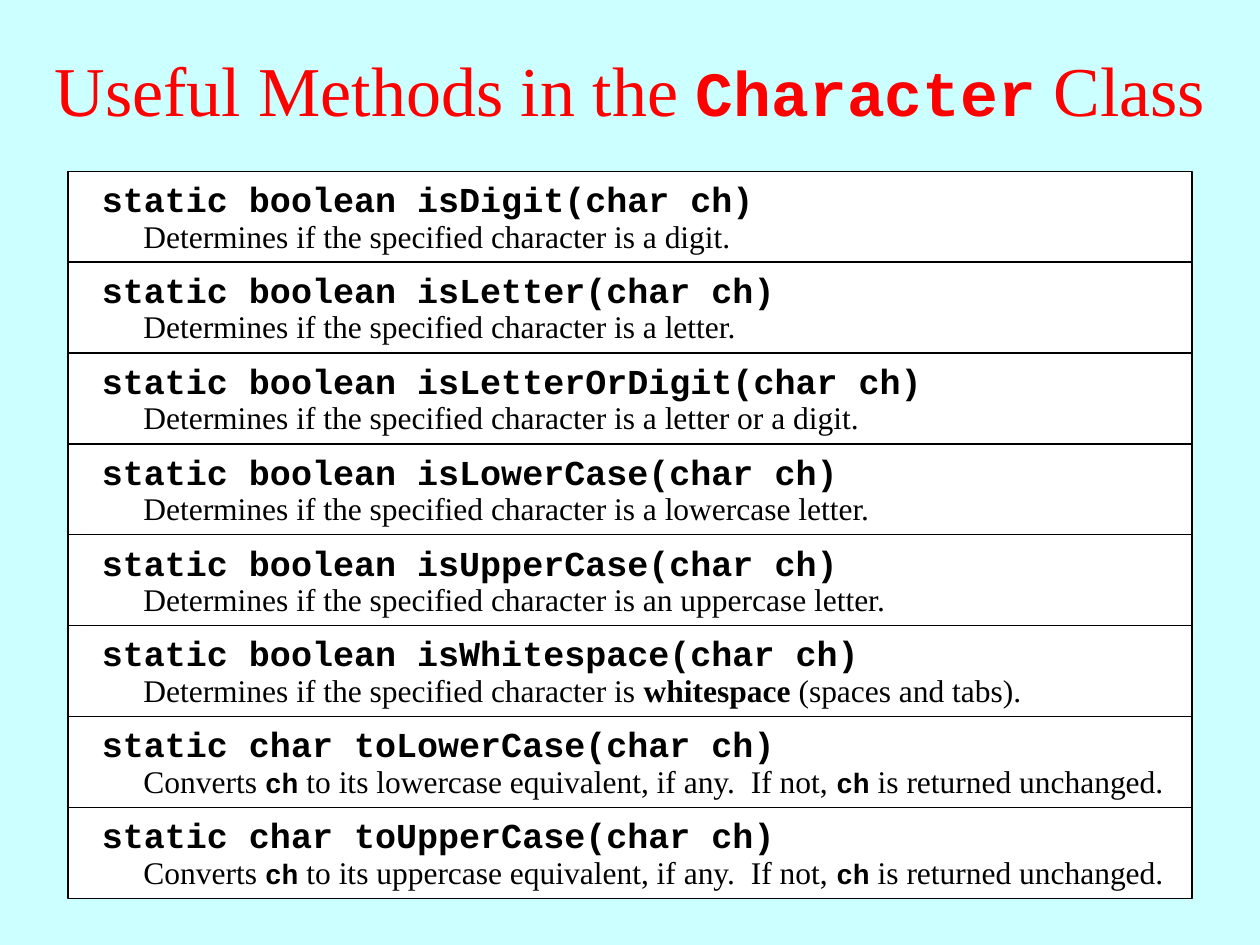
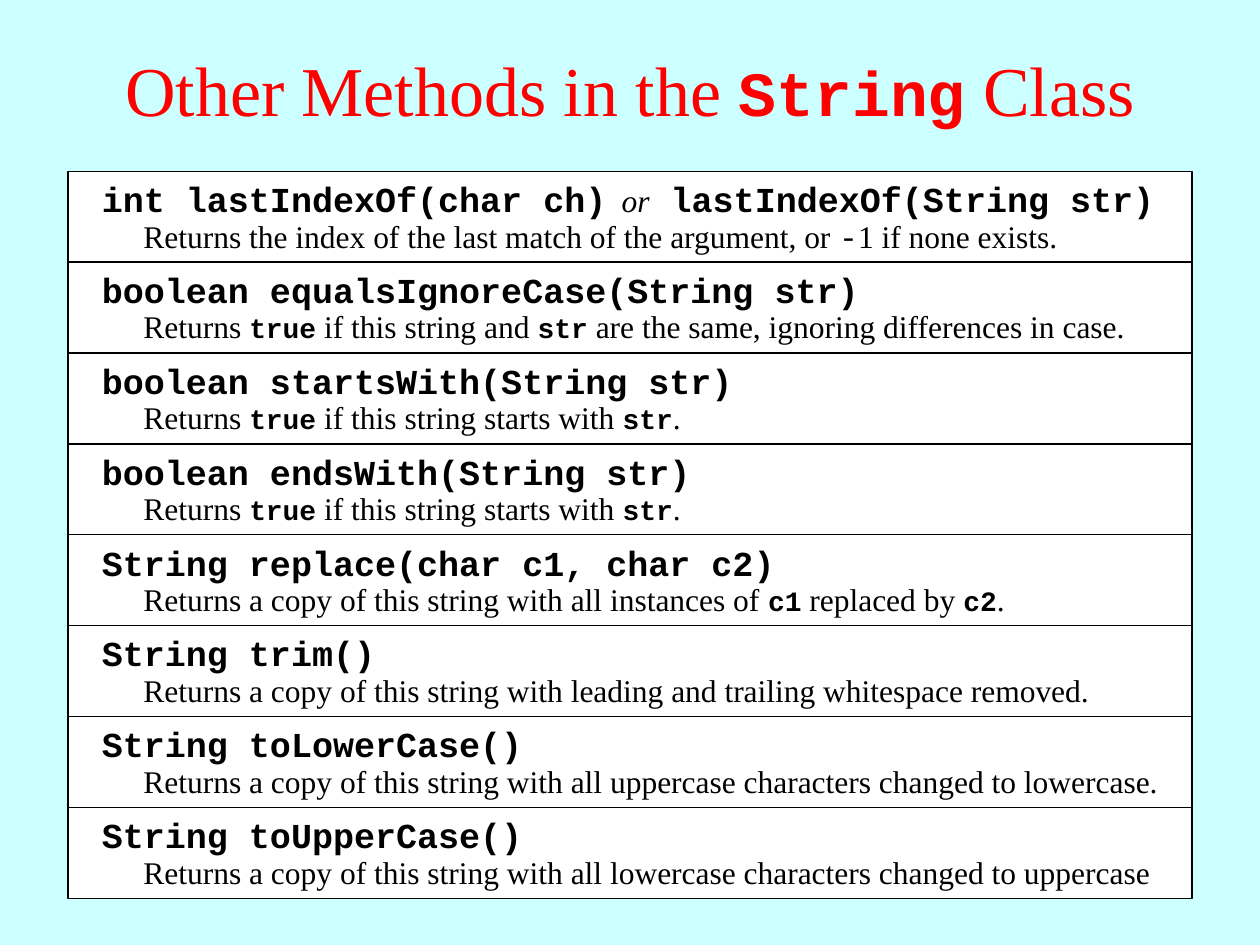
import pptx
import pptx.util
import pptx.dml.color
import pptx.enum.shapes
import pptx.enum.text

RGBColor = pptx.dml.color.RGBColor
Anchor = pptx.enum.text.MSO_ANCHOR
Align = pptx.enum.text.PP_ALIGN

SKY = RGBColor(0xCC, 0xFF, 0xFF)
RED = RGBColor(0xFF, 0x00, 0x00)
WHITE = RGBColor(0xFF, 0xFF, 0xFF)
BLACK = RGBColor(0x00, 0x00, 0x00)

SERIF = "Times New Roman"
MONO = "Courier New"
WIDTH, HEIGHT = 10, 7.5
PANEL_LEFT, PANEL_TOP, PANEL_BOTTOM = 0.54, 1.36, 7.13
PANEL_WIDTH = WIDTH - 2 * PANEL_LEFT

STYLES = {
    "title": {"name": SERIF, "size": 40},
    "title code": {"name": MONO, "size": 36, "bold": True},
    "signature": {"name": MONO, "size": 20, "bold": True},
    "thin gap": {"name": MONO, "size": 14, "bold": True},
    "italic": {"name": SERIF, "size": 18, "italic": True},
    "plain": {"name": SERIF, "size": 18},
    "bold": {"name": SERIF, "size": 18, "bold": True},
    "code": {"name": MONO, "size": 16, "bold": True},
    "minus": {"name": MONO, "size": 18},
}

CHARACTER_METHODS = [
    ("static boolean isDigit(char ch)", "Determines if the specified character is a digit."),
    ("static boolean isLetter(char ch)", "Determines if the specified character is a letter."),
    ("static boolean isLetterOrDigit(char ch)",
     "Determines if the specified character is a letter or a digit."),
    ("static boolean isLowerCase(char ch)",
     "Determines if the specified character is a lowercase letter."),
    ("static boolean isUpperCase(char ch)",
     "Determines if the specified character is an uppercase letter."),
    ("static boolean isWhitespace(char ch)",
     [("Determines if the specified character is ", "plain"), ("whitespace", "bold"),
      (" (spaces and tabs).", "plain")]),
    ("static char toLowerCase(char ch)",
     "Converts `ch` to its lowercase equivalent, if any.  If not, `ch` is returned unchanged."),
    ("static char toUpperCase(char ch)",
     "Converts `ch` to its uppercase equivalent, if any.  If not, `ch` is returned unchanged."),
]

STRING_METHODS = [
    ([("int lastIndexOf(char ch)", "signature"), (" ", "thin gap"), ("or", "italic"),
      (" lastIndexOf(String str)", "signature")],
     [("Returns the index of the last match of the argument, or ", "plain"),
      ("-", "minus"), ("1 if none exists.", "plain")]),
    ("boolean equalsIgnoreCase(String str)",
     "Returns `true` if this string and `str` are the same, ignoring differences in case."),
    ("boolean startsWith(String str)", "Returns `true` if this string starts with `str`."),
    ("boolean endsWith(String str)", "Returns `true` if this string starts with `str`."),
    ("String replace(char c1, char c2)",
     "Returns a copy of this string with all instances of `c1` replaced by `c2`."),
    ("String trim()",
     "Returns a copy of this string with leading and trailing whitespace removed."),
    ("String toLowerCase()",
     "Returns a copy of this string with all uppercase characters changed to lowercase."),
    ("String toUpperCase()",
     "Returns a copy of this string with all lowercase characters changed to uppercase"),
]


def inches(*lengths):
    return [pptx.util.Inches(length) for length in lengths]


def split_spans(text, style, code_style):
    if not isinstance(text, str):
        return text
    return [(part, code_style if index % 2 else style)
            for index, part in enumerate(text.split("`")) if part]


def add_text(shapes, area, spans, color=BLACK, align=Align.LEFT, anchor=Anchor.TOP):
    box = shapes.add_textbox(*inches(*area))
    frame = box.text_frame
    frame.word_wrap = True
    frame.vertical_anchor = anchor
    para = frame.paragraphs[0]
    para.alignment = align
    for text, style in spans:
        span = para.add_run()
        span.text = text
        span.font.color.rgb = color
        for key, value in STYLES[style].items():
            setattr(span.font, key, pptx.util.Pt(value) if key == "size" else value)


def add_method_row(page, top, height, signature, description):
    group = page.shapes.add_group_shape()
    panel = group.shapes.add_shape(
        pptx.enum.shapes.MSO_SHAPE.RECTANGLE,
        *inches(PANEL_LEFT, top, PANEL_WIDTH, height))
    panel.shadow.inherit = False
    panel.fill.solid()
    panel.fill.fore_color.rgb = WHITE
    panel.line.color.rgb = BLACK
    panel.line.width = pptx.util.Pt(0.75)
    add_text(group.shapes, (0.71, top, 8.58, 0.44),
             split_spans(signature, "signature", "signature"))
    add_text(group.shapes, (1.04, top + 0.31, 8.33, 0.4),
             split_spans(description, "plain", "code"))


def add_methods_page(deck, title, methods):
    page = deck.slides.add_slide(deck.slide_layouts[6])
    page.background.fill.solid()
    page.background.fill.fore_color.rgb = SKY
    add_text(page.shapes, (0, 0.08, WIDTH, 1.25),
             split_spans(title, "title", "title code"), RED, Align.CENTER, Anchor.MIDDLE)
    height = (PANEL_BOTTOM - PANEL_TOP) / len(methods)
    for row, (signature, description) in enumerate(methods):
        add_method_row(page, PANEL_TOP + row * height, height, signature, description)


def main():
    deck = pptx.Presentation()
    deck.slide_width, deck.slide_height = inches(WIDTH, HEIGHT)
    add_methods_page(deck, "Useful Methods in the `Character` Class", CHARACTER_METHODS)
    add_methods_page(deck, "Other Methods in the `String` Class", STRING_METHODS)
    deck.save("out.pptx")


if __name__ == "__main__":
    main()
